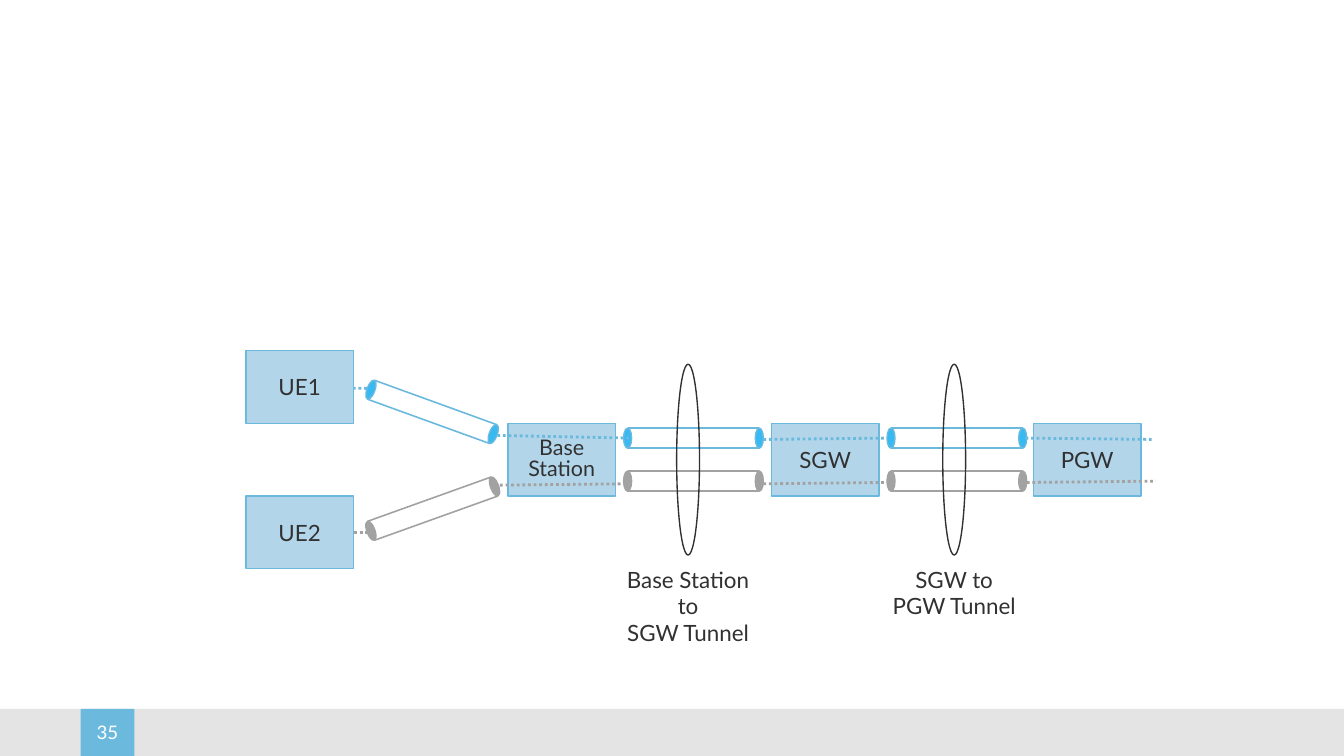
from dataclasses import dataclass
from math import atan2, cos, degrees, sin

from lxml.etree import SubElement
from pptx import Presentation
from pptx.dml.color import RGBColor
from pptx.enum.dml import MSO_LINE
from pptx.enum.shapes import MSO_CONNECTOR, MSO_SHAPE
from pptx.enum.text import MSO_ANCHOR as Anchor, PP_ALIGN as Align
from pptx.oxml.ns import qn
from pptx.shapes.autoshape import Shape
from pptx.shapes.connector import Connector
from pptx.shapes.shapetree import GroupShapes, SlideShapes
from pptx.util import Inches, Pt

Point = tuple[float, float]


@dataclass(frozen=True)
class Theme:
    font: str = "Lato"
    ink: str = "313131"
    white: str = "FFFFFF"
    blue: str = "6BBADD"
    bright_blue: str = "38B9F2"
    pale_blue: str = "B2D5EA"
    gray: str = "A2A2A2"
    footer: str = "A6A6A6"
    label_size: float = 12
    tight_size: float = 11.5
    number_size: float = 10
    outline: float = 0.75
    tube_line: float = 0.85
    dotted_line: float = 1.5


THEME = Theme()
PAGE_WIDTH = 10
PAGE_HEIGHT = PAGE_WIDTH * 9 / 16
NODE_SIZE = (0.8, 0.54)
TUBE_CAP = (0.06, 0.15)


@dataclass(frozen=True)
class Node:
    text: str
    left: float
    top: float
    size: float = THEME.label_size
    spacing: float | None = None


@dataclass(frozen=True)
class Bearer:
    """Colours of one user's path."""
    line: str
    cap: str


@dataclass(frozen=True)
class Tube:
    """Tunnel between the centres of its two caps."""
    start: Point
    end: Point
    bearer: Bearer


@dataclass(frozen=True)
class Link:
    start: Point
    end: Point
    color: str


@dataclass(frozen=True)
class Tunnel:
    text: str
    center: float


BLUE = Bearer(THEME.blue, THEME.bright_blue)
GRAY = Bearer(THEME.gray, THEME.gray)

USERS = [
    (Node("UE1", 1.83, 2.61), Link((2.73, 2.89), (1.83, 2.88), THEME.blue)),
    (Node("UE2", 1.83, 3.69), Link((2.74, 3.96), (1.83, 3.96), THEME.gray)),
]
CORE_NODES = [
    Node("Base\nStation", 3.78, 3.15, THEME.tight_size, 0.8),
    Node("SGW", 5.74, 3.15),
    Node("PGW", 7.69, 3.15),
]
TUBES = [
    Tube((2.76, 2.9), (3.67, 3.23), BLUE),
    Tube((2.76, 3.95), (3.68, 3.62), GRAY),
] + [
    Tube((x, y), (x + 0.98, y), bearer)
    for x in (4.67, 6.63)
    for y, bearer in ((3.26, BLUE), (3.58, GRAY))
]
LINKS = [
    Link((3.7, 3.24), (4.7, 3.26), THEME.blue),
    Link((5.68, 3.27), (6.6, 3.26), THEME.blue),
    Link((7.63, 3.26), (8.58, 3.27), THEME.blue),
    Link((3.72, 3.61), (4.63, 3.6), THEME.gray),
    Link((5.68, 3.6), (6.6, 3.59), THEME.gray),
    Link((7.64, 3.59), (8.6, 3.58), THEME.gray),
]
TUNNELS = [
    Tunnel("Base Station to\nSGW Tunnel", 5.12),
    Tunnel("SGW to\nPGW Tunnel", 7.1),
]


def rgb(color: str) -> RGBColor:
    return RGBColor.from_string(color)


def add_shape(shapes: SlideShapes | GroupShapes, kind: MSO_SHAPE, left: float, top: float,
              width: float, height: float, fill: str | None, line: str | None) -> Shape:
    shape = shapes.add_shape(kind, Inches(left), Inches(top), Inches(width), Inches(height))
    shape.shadow.inherit = False
    if fill:
        shape.fill.solid()
        shape.fill.fore_color.rgb = rgb(fill)
    else:
        shape.fill.background()
    if line:
        shape.line.color.rgb = rgb(line)
        shape.line.width = Pt(THEME.outline)
    else:
        shape.line.fill.background()
    return shape


def add_line(shapes: SlideShapes | GroupShapes, start: Point, end: Point,
             color: str, width: float) -> Connector:
    line = shapes.add_connector(MSO_CONNECTOR.STRAIGHT, *map(Inches, start + end))
    line.line.color.rgb = rgb(color)
    line.line.width = Pt(width)
    SubElement(line._element.spPr, qn("a:effectLst"))
    return line


def add_link(shapes: SlideShapes, link: Link) -> Connector:
    line = add_line(shapes, link.start, link.end, link.color, THEME.dotted_line)
    line.line.dash_style = MSO_LINE.ROUND_DOT
    return line


def write(shape: Shape, text: str, size: float, color: str = THEME.ink,
          spacing: float | None = None) -> None:
    shape.text_frame.text = text
    for para in shape.text_frame.paragraphs:
        para.alignment = Align.CENTER
        para.line_spacing = spacing
        for span in para.runs:
            span.font.name = THEME.font
            span.font.size = Pt(size)
            span.font.color.rgb = rgb(color)


def add_node(shapes: SlideShapes, node: Node) -> Shape:
    box = add_shape(shapes, MSO_SHAPE.RECTANGLE, node.left, node.top, *NODE_SIZE,
                    THEME.pale_blue, THEME.blue)
    box.text_frame.vertical_anchor = Anchor.MIDDLE
    write(box, node.text, node.size, spacing=node.spacing)
    return box


def add_tube(shapes: SlideShapes, tube: Tube) -> None:
    group = shapes.add_group_shape().shapes
    width, height = TUBE_CAP
    angle = atan2(tube.end[1] - tube.start[1], tube.end[0] - tube.start[0])
    for x, y in (tube.start, tube.end):
        cap = add_shape(group, MSO_SHAPE.OVAL, x - width / 2, y - height / 2, width, height,
                        tube.bearer.cap, tube.bearer.line)
        cap.rotation = degrees(angle)
    for side in (height / 2, -height / 2):
        start, end = ((x + side * sin(angle), y - side * cos(angle))
                      for x, y in (tube.start, tube.end))
        add_line(group, start, end, tube.bearer.line, THEME.tube_line)


def add_tunnel(shapes: SlideShapes, tunnel: Tunnel) -> None:
    width = 0.17
    add_shape(shapes, MSO_SHAPE.OVAL, tunnel.center - width / 2, 2.71, width, 1.42,
              None, THEME.ink)
    label = shapes.add_textbox(Inches(tunnel.center - 0.6), Inches(4.16), Inches(1.2), Inches(0.5))
    label.text_frame.word_wrap = True
    write(label, tunnel.text, THEME.label_size)


def add_footer(shapes: SlideShapes) -> None:
    height = 0.35
    top = PAGE_HEIGHT - height
    bar = add_shape(shapes, MSO_SHAPE.RECTANGLE, 0, top, PAGE_WIDTH, height, THEME.footer, None)
    color = bar._element.spPr.find(qn("a:solidFill"))[0]
    SubElement(color, qn("a:alpha"), val="30000")
    number = add_shape(shapes, MSO_SHAPE.RECTANGLE, 0.6, top, 0.4, height, THEME.blue, None)
    number.text_frame.word_wrap = False
    number.text_frame.vertical_anchor = Anchor.MIDDLE
    write(number, "35", THEME.number_size, THEME.white)


def main() -> None:
    deck = Presentation()
    deck.slide_width, deck.slide_height = Inches(PAGE_WIDTH), Inches(PAGE_HEIGHT)
    shapes = deck.slides.add_slide(deck.slide_layouts[6]).shapes
    add_footer(shapes)
    # User devices, each over its dotted line
    for node, link in USERS:
        line = add_link(shapes, link)
        line.end_connect(add_node(shapes, node), 1)
    # Core network, tunnels and the paths through them
    for node in CORE_NODES:
        add_node(shapes, node)
    for tube in TUBES:
        add_tube(shapes, tube)
    for link in LINKS:
        add_link(shapes, link)
    for tunnel in TUNNELS:
        add_tunnel(shapes, tunnel)
    deck.save("out.pptx")


if __name__ == "__main__":
    main()
